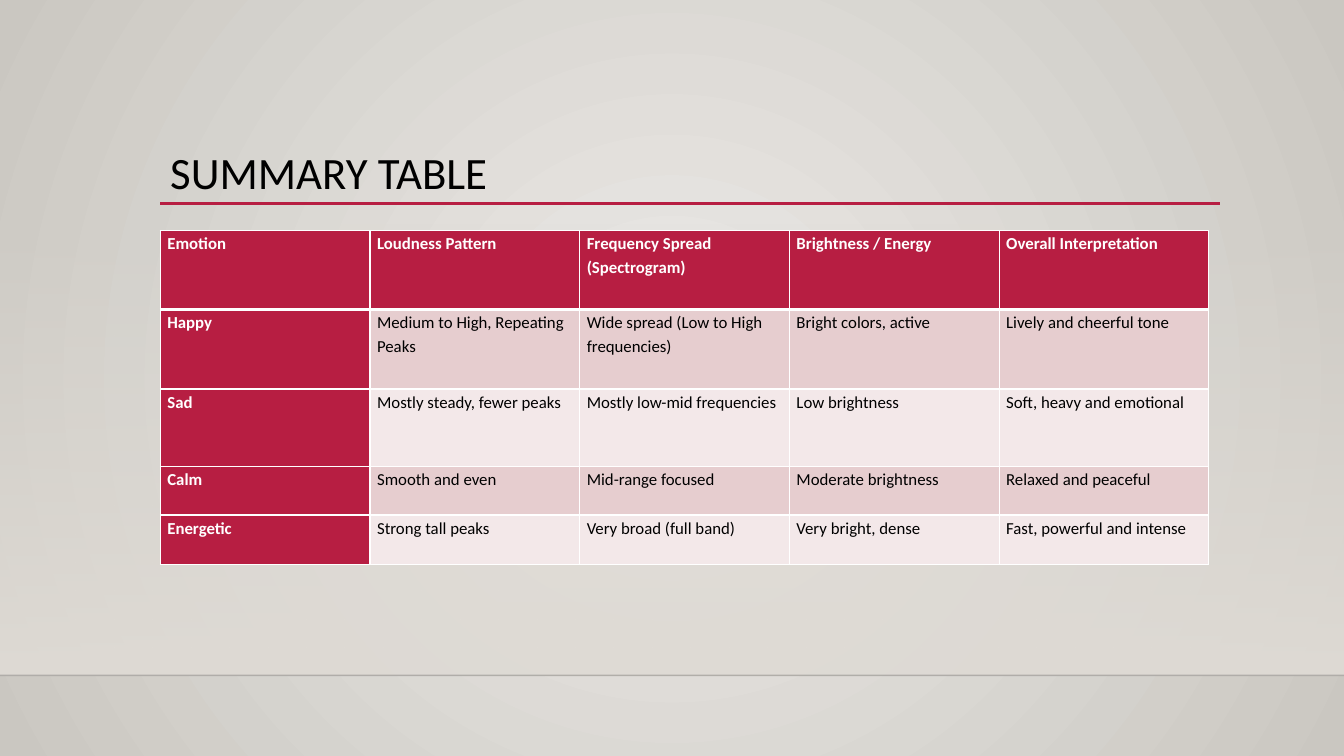
from lxml import etree
from pptx import Presentation
from pptx import util as u
from pptx.dml.color import RGBColor
from pptx.enum import shapes, text
from pptx.oxml.ns import qn

CRIMSON = RGBColor(0xB7, 0x1E, 0x42)
ROSE = RGBColor(0xE6, 0xCD, 0xCF)
BLUSH = RGBColor(0xF3, 0xE8, 0xE9)
WHITE = RGBColor(0xFF, 0xFF, 0xFF)
BLACK = RGBColor(0, 0, 0)
FLOOR_EDGE = RGBColor(0, 0, 1)
SAND = RGBColor(0xDF, 0xDB, 0xD5)
GLOW = RGBColor(0xEC, 0xEA, 0xE7)
STONE = RGBColor(0xCA, 0xC7, 0xC1)

ROWS = [
    ["Emotion", "Loudness Pattern", "Frequency Spread (Spectrogram)",
     "Brightness / Energy", "Overall Interpretation"],
    ["Happy", "Medium to High, Repeating Peaks", "Wide spread (Low to High frequencies)",
     "Bright colors, active", "Lively and cheerful tone"],
    ["Sad", "Mostly steady, fewer peaks", "Mostly low-mid frequencies",
     "Low brightness", "Soft, heavy and emotional"],
    ["Calm", "Smooth and even", "Mid-range focused",
     "Moderate brightness", "Relaxed and peaceful"],
    ["Energetic", "Strong tall peaks", "Very broad (full band)",
     "Very bright, dense", "Fast, powerful and intense"],
]
ROW_HEIGHTS = [0.78, 0.79, 0.77, 0.48, 0.49]
COL_WIDTH = 2.08


def put_text(tf, content, size=12, color=BLACK, bold=False, spacing=1.0, after=0):
    p = tf.paragraphs[0]
    p.line_spacing = spacing
    p.space_after = u.Pt(after)
    r = p.add_run()
    r.text = content
    r.font.name = "Calibri"
    r.font.size = u.Pt(size)
    r.font.bold = bold
    r.font.color.rgb = color


def set_alpha(color_parent, percent):
    clr = next(color_parent.iter(qn("a:srgbClr")))
    etree.SubElement(clr, qn("a:alpha"), val=str(percent * 1000))


def set_gradient(fill, start, end):
    fill.gradient()
    for stop, color, position in zip(fill.gradient_stops, (start, end), (0, 1)):
        stop.color.rgb = color
        stop.position = position


def set_border(cell, side, width):
    ln = etree.SubElement(cell._tc.get_or_add_tcPr(), qn(f"a:ln{side}"), w=str(u.Pt(width)))
    fill = etree.SubElement(ln, qn("a:solidFill"))
    etree.SubElement(fill, qn("a:srgbClr"), val=str(WHITE))


class SlideBuilder:
    def __init__(self, prs):
        self.s = prs.slides.add_slide(prs.slide_layouts[6])

    def background(self, center, edge):
        set_gradient(self.s.background.fill, center, edge)
        grad = next(self.s.element.iter(qn("a:gradFill")))
        grad.remove(grad.find(qn("a:lin")))
        path = etree.SubElement(grad, qn("a:path"), attrib={"path": "circle"})
        etree.SubElement(path, qn("a:fillToRect"), l="50000", t="50000", r="50000", b="50000")

    def fading_band(self, x, y, w, h, color):
        sp = self.s.shapes.add_shape(shapes.MSO_SHAPE.RECTANGLE, *map(u.Inches, (x, y, w, h)))
        sp.shadow.inherit = False
        sp.line.fill.background()
        set_gradient(sp.fill, color, color)
        sp.fill.gradient_angle = 270
        set_alpha(next(sp._element.iter(qn("a:gs"))), 0)

    def rule(self, x1, x2, y, color, width, alpha=None):
        line = self.s.shapes.add_connector(
            shapes.MSO_CONNECTOR.STRAIGHT, *map(u.Inches, (x1, y, x2, y)))
        line.line.color.rgb = color
        line.line.width = u.Pt(width)
        if alpha is not None:
            set_alpha(line._element.spPr, alpha)
        etree.SubElement(line._element.spPr, qn("a:effectLst"))

    def title(self, content, x, y, w, h):
        tf = self.s.shapes.add_textbox(*map(u.Inches, (x, y, w, h))).text_frame
        tf.word_wrap = True
        tf.vertical_anchor = text.MSO_ANCHOR.BOTTOM
        put_text(tf, content, size=32, spacing=0.9)

    def table(self, rows, x, y, col_width, heights):
        cols = len(rows[0])
        table = self.s.shapes.add_table(
            len(rows), cols,
            *map(u.Inches, (x, y, cols * col_width, sum(heights)))).table
        table.first_row = table.horz_banding = False
        for col in table.columns:
            col.width = u.Inches(col_width)
        for i, (row, height) in enumerate(zip(rows, heights)):
            table.rows[i].height = u.Inches(height)
            for j, content in enumerate(row):
                self.cell(table.cell(i, j), content, i, j)

    def cell(self, cell, content, i, j):
        heading = i == 0 or j == 0
        cell.margin_left = cell.margin_right = u.Inches(0.07)
        cell.margin_top = cell.margin_bottom = 0
        # The line under the header row is heavier
        for side in "LRTB":
            heavy = (i, side) in ((0, "B"), (1, "T"))
            set_border(cell, side, 3 if heavy else 1)
        cell.fill.solid()
        cell.fill.fore_color.rgb = CRIMSON if heading else ROSE if i % 2 else BLUSH
        put_text(cell.text_frame, content, color=WHITE if heading else BLACK,
                 bold=heading, spacing=1.15, after=10)


def main():
    prs = Presentation()
    prs.slide_width, prs.slide_height = u.Inches(13.33), u.Inches(7.5)
    slide = SlideBuilder(prs)

    # Backdrop
    slide.background(GLOW, STONE)
    slide.fading_band(0, 2.21, 13.33, 4.49, SAND)
    slide.rule(0, 13.33, 6.7, FLOOR_EDGE, 1, alpha=20)

    # Title
    slide.rule(1.59, 12.1, 2.02, CRIMSON, 2.5)
    slide.title("SUMMARY TABLE", 1.59, 0.88, 10.5, 1.15)

    # Emotion table
    slide.table(ROWS, 1.59, 2.29, COL_WIDTH, ROW_HEIGHTS)

    prs.save("out.pptx")


if __name__ == "__main__":
    main()
